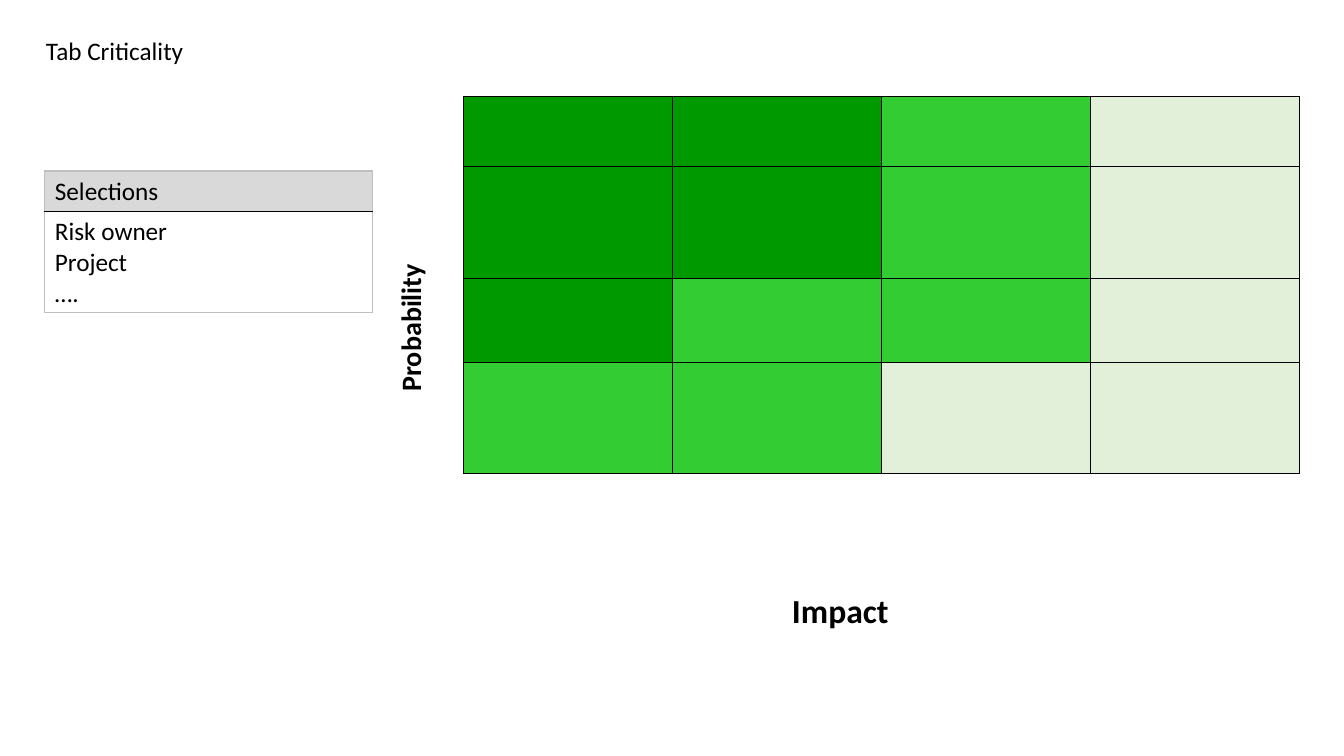
import pptx
import pptx.dml.color
import pptx.oxml
import pptx.oxml.ns
import pptx.util
import lxml.etree

Cm = pptx.util.Cm
Color = pptx.dml.color.RGBColor

BLACK = Color(0x00, 0x00, 0x00)
WHITE = Color(0xFF, 0xFF, 0xFF)
GREY = Color(0xD9, 0xD9, 0xD9)
EDGE = Color(0xBF, 0xBF, 0xBF)
DARK = Color(0x00, 0x99, 0x00)
MID = Color(0x33, 0xCC, 0x33)
PALE = Color(0xE2, 0xF0, 0xD9)

BODY = {"name": "Calibri", "size": pptx.util.Pt(18), "bold": False}
SIDE = {**BODY, "size": pptx.util.Pt(20), "bold": True}
BASE = {**SIDE, "size": pptx.util.Pt(24)}

# One letter per cell, from the top row down
LEVELS = {"D": DARK, "M": MID, "P": PALE}
GRID = ["DDMP", "DDMP", "DMMP", "MMPP"]


def write(frame, lines, style):
    """Put each line in its own paragraph, in the given style."""
    for i, line in enumerate(lines):
        para = frame.paragraphs[0] if i == 0 else frame.add_paragraph()
        run = para.add_run()
        run.text = line
        for key, value in style.items():
            setattr(run.font, key, value)
        run.font.color.rgb = BLACK


def label(slide, box, text, style, turn=0, wrap=False):
    """Place a line of text in a box, turned if asked."""
    shape = slide.shapes.add_textbox(*map(Cm, box))
    shape.rotation = turn
    shape.text_frame.word_wrap = wrap
    write(shape.text_frame, [text], style)


def border(cell, edges, width):
    """Draw the left, right, top and bottom edges of a cell."""
    props = cell._tc.get_or_add_tcPr()
    for i, (side, color) in enumerate(zip("LRTB", edges)):
        line = pptx.oxml.parse_xml(
            f'<a:ln{side} {pptx.oxml.ns.nsdecls("a")} w="{pptx.util.Pt(width)}">'
            f'<a:solidFill><a:srgbClr val="{color}"/></a:solidFill></a:ln{side}>')
        props.insert(i, line)


def plain(slide, box, rows, cols):
    """Add a table without header or bands; rows are heights in cm."""
    left, top, width = box
    frame = slide.shapes.add_table(
        len(rows), cols, Cm(left), Cm(top), Cm(width), Cm(sum(rows)))
    table = frame.table
    table.first_row = table.horz_banding = False
    for row, high in zip(table.rows, rows):
        row.height = Cm(high)
    for col in table.columns:
        col.width = Cm(width / cols)
    return table


def paint(cell, color):
    cell.fill.solid()
    cell.fill.fore_color.rgb = color


def choices(slide, box):
    """List of selections under a grey heading."""
    table = plain(slide, box, [1.02, 2.54], 1)
    parts = [
        (["Selections"], GREY, (EDGE, EDGE, EDGE, BLACK)),
        (["Risk owner", "Project", "…."], WHITE, (EDGE, EDGE, BLACK, EDGE)),
    ]
    for row, (lines, color, edges) in enumerate(parts):
        cell = table.cell(row, 0)
        write(cell.text_frame, lines, BODY)
        paint(cell, color)
        border(cell, edges, 1)


def matrix(slide, box):
    """Risk grid with the names of its two axes."""
    left, top, width = box
    rows = [1.77, 2.81, 2.12, 2.81]
    table = plain(slide, box, rows, len(GRID[0]))
    for y, codes in enumerate(GRID):
        for x, code in enumerate(codes):
            cell = table.cell(y, x)
            paint(cell, LEVELS[code])
            border(cell, [BLACK] * 4, 0.61)
    label(slide, (left - 3.2, top + 5.26, 3.73, 1.12),
          "Probability", SIDE, turn=270)
    label(slide, (left + 8.03, top + sum(rows) + 2.81, 2.97, 1.27),
          "Impact", BASE)


def main():
    deck = pptx.Presentation()
    deck.slide_width, deck.slide_height = Cm(33.87), Cm(19.05)
    slide = deck.slides.add_slide(deck.slide_layouts[6])

    # Heading, selections at left, grid at right
    label(slide, (0.91, 0.76, 7.42, 1.02), "Tab Criticality", BODY, wrap=True)
    choices(slide, (1.13, 4.31, 8.26))
    matrix(slide, (11.68, 2.43, 21.06))
    deck.save("out.pptx")


if __name__ == "__main__":
    main()
